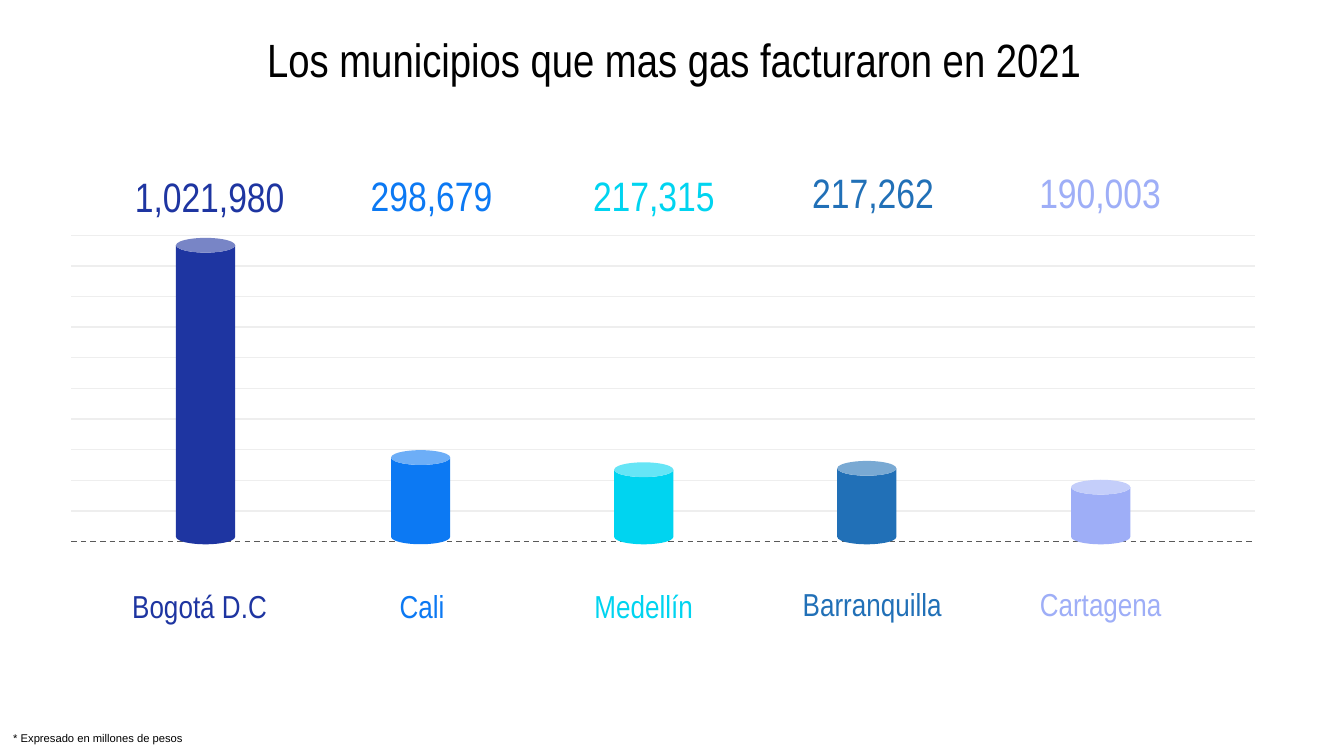
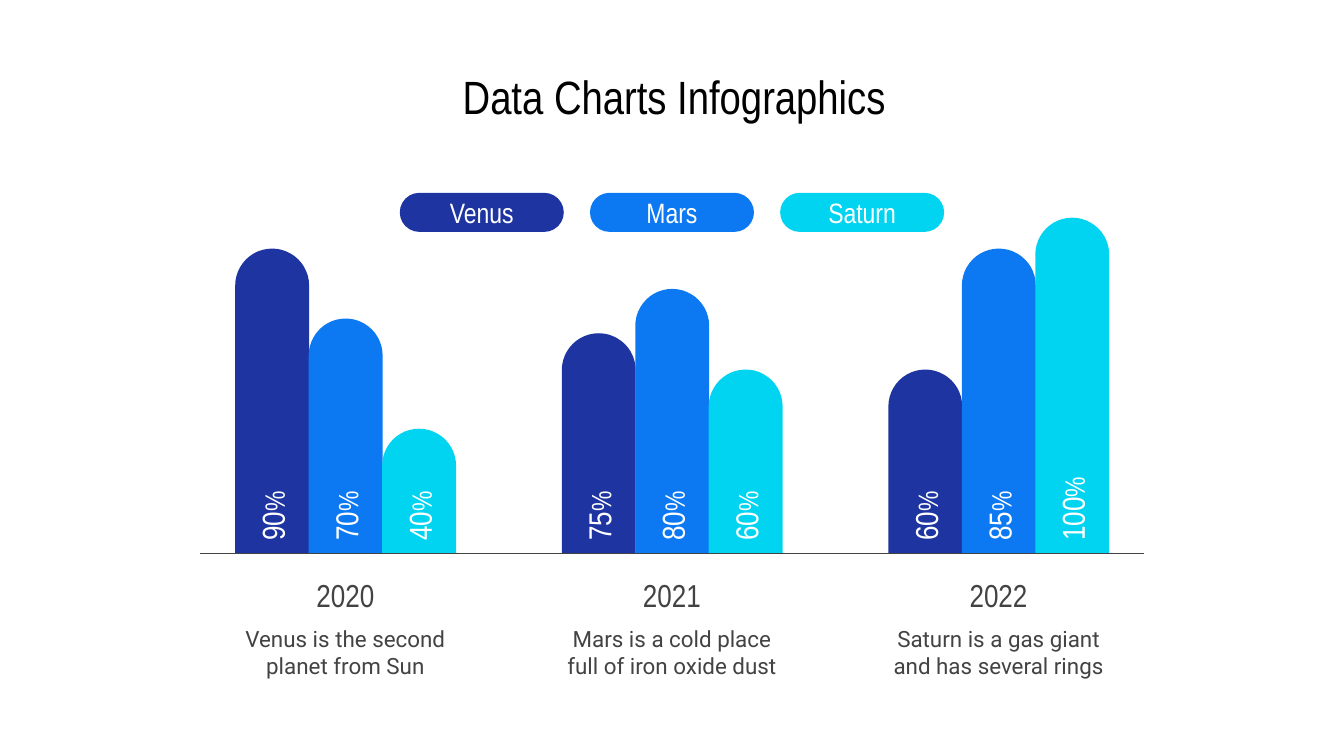
from dataclasses import dataclass

from lxml.etree import SubElement
from pptx import Presentation
from pptx.dml.color import RGBColor
from pptx.enum.dml import MSO_LINE_DASH_STYLE as Dash
from pptx.enum.shapes import MSO_CONNECTOR as Connector, MSO_SHAPE as Shape
from pptx.enum.text import MSO_ANCHOR as Anchor, MSO_AUTO_SIZE as AutoSize, PP_ALIGN as Align
from pptx.oxml.ns import qn
from pptx.util import Inches, Pt


@dataclass(frozen=True)
class Theme:
    black: str = "000000"
    white: str = "FFFFFF"
    navy: str = "1E35A1"
    blue: str = "0C79F3"
    cyan: str = "00D4F0"
    steel: str = "2170B7"
    lavender: str = "9EAEF7"
    text: str = "434343"
    grid: str = "EEEEEE"
    baseline: str = "595959"
    heading_font: str = "Arial Narrow"
    body_font: str = "Roboto"
    note_font: str = "Arial"
    title_size: int = 25
    value_size: int = 22
    label_size: int = 17
    legend_size: int = 15
    body_size: int = 12
    note_size: int = 6


theme = Theme()


def add_block(page, box, text="", size=theme.label_size, color=theme.white,
              font=theme.heading_font, align=Align.CENTER, kind=None, fill=None):
    lengths = [Inches(length) for length in box]
    if kind is None:
        block = page.shapes.add_textbox(*lengths)
    else:
        block = page.shapes.add_shape(kind, *lengths)
        block.shadow.inherit = False
        block.fill.solid()
        block.fill.fore_color.rgb = RGBColor.from_string(fill)
        block.line.fill.background()
    frame = block.text_frame
    frame.word_wrap = True
    frame.vertical_anchor = Anchor.MIDDLE
    frame.margin_left = frame.margin_right = Inches(0.1)
    frame.margin_top = frame.margin_bottom = Inches(0.1)
    if text:
        para = frame.paragraphs[0]
        para.text = text
        para.alignment = align
        para.runs[0].font.size = Pt(size)
        para.runs[0].font.name = font
        para.runs[0].font.color.rgb = RGBColor.from_string(color)
    return block


def add_rule(page, left, right, top, color):
    rule = page.shapes.add_connector(
        Connector.STRAIGHT, Inches(left), Inches(top), Inches(right), Inches(top))
    rule.line.color.rgb = RGBColor.from_string(color)
    rule.line.width = Pt(0.75)
    SubElement(rule._element.spPr, qn("a:effectLst"))
    return rule


deck = Presentation()
deck.slide_width = Inches(10)
deck.slide_height = Inches(10 * 9 / 16)

pages = []
for title_text, title_top in [
    ("Los municipios que mas gas facturaron en 2021", 0.17),
    ("Data Charts Infographics", 0.45),
]:
    page = deck.slides.add_slide(deck.slide_layouts[5])
    title = page.shapes.title
    title.left, title.top = Inches(0.53), Inches(title_top)
    title.width, title.height = Inches(8.97), Inches(0.53)
    frame = title.text_frame
    frame.text = title_text
    frame.auto_size = AutoSize.NONE
    frame.word_wrap = True
    frame.vertical_anchor = Anchor.MIDDLE
    frame.margin_left = frame.margin_right = Inches(0.1)
    frame.margin_top = frame.margin_bottom = Inches(0.1)
    para = frame.paragraphs[0]
    para.alignment = Align.CENTER
    font = para.runs[0].font
    font.name = theme.heading_font
    font.size = Pt(theme.title_size)
    font.color.rgb = RGBColor.from_string(theme.black)
    pages.append(page)
cities_page, planets_page = pages

grid_top, grid_bottom, grid_steps = 1.75, 4.03, 10
for step in range(grid_steps):
    top = grid_top + step * (grid_bottom - grid_top) / grid_steps
    add_rule(cities_page, 0.53, 9.34, top, theme.grid)
baseline = add_rule(cities_page, 0.53, 9.34, grid_bottom, theme.baseline)
baseline.line.dash_style = Dash.DASH

can_width, can_bottom = 0.44, 4.05
cities = [
    ("Bogotá D.C", "1,021,980", theme.navy, 1.31, 1.77, (0.76, 4.36, 1.45), (0.76, 1.29, 1.6)),
    ("Cali", "298,679", theme.blue, 2.91, 3.35, (2.45, 4.36, 1.38), (2.5, 1.28, 1.42)),
    ("Medellín", "217,315", theme.cyan, 4.57, 3.44, (4.1, 4.36, 1.38), (4.18, 1.28, 1.37)),
    ("Barranquilla", "217,262", theme.steel, 6.23, 3.43, (5.75, 4.35, 1.48), (5.79, 1.26, 1.41)),
    ("Cartagena", "190,003", theme.lavender, 7.97, 3.57, (7.5, 4.35, 1.38), (7.47, 1.26, 1.43)),
]
for city, value, color, left, top, name_box, value_box in cities:
    can = add_block(cities_page, (left, top, can_width, can_bottom - top),
                    kind=Shape.CAN, fill=color)
    can.adjustments[0] = 0.25
    add_block(cities_page, (*name_box, 0.29), city, color=color)
    add_block(cities_page, (*value_box, 0.34), value, theme.value_size, color)

note = add_block(cities_page, (0, 5.39, 1.48, 0.2), "* Expresado en millones de pesos",
                 theme.note_size, theme.black, theme.note_font, Align.LEFT)
note.text_frame.word_wrap = False
note.text_frame.auto_size = AutoSize.SHAPE_TO_FIT_TEXT
note.text_frame.vertical_anchor = Anchor.TOP
note.text_frame.margin_top = note.text_frame.margin_bottom = Inches(0.05)

planets = [("Venus", theme.navy), ("Mars", theme.blue), ("Saturn", theme.cyan)]
legend_left, legend_last = 2.98, 5.81
for index, (planet, color) in enumerate(planets):
    left = legend_left + index * (legend_last - legend_left) / (len(planets) - 1)
    pill = add_block(planets_page, (left, 1.44, 1.21, 0.28), planet,
                     theme.legend_size, kind=Shape.ROUNDED_RECTANGLE, fill=color)
    pill.adjustments[0] = 0.5
    pill.line.color.rgb = RGBColor.from_string(color)
    pill.line.width = Pt(0.75)

axis_top, bar_width, group_width = 4.12, 0.55, 1.64
label_width, label_height = 1.15, 0.27
years = [
    ("2020", "Venus is the second planet from Sun", [(90, 1.85), (70, 2.37), (40, 3.19)]),
    ("2021", "Mars is a cold place full of iron oxide dust", [(75, 2.48), (80, 2.15), (60, 2.75)]),
    ("2022", "Saturn is a gas giant and has several rings", [(60, 2.75), (85, 1.85), (100, 1.62)]),
]
for group, (year, description, bars) in enumerate(years):
    group_left = 1.75 + 2.43 * group
    for index, (percent, top) in enumerate(bars):
        left = group_left + index * group_width / len(bars)
        bar = add_block(planets_page, (left, top, bar_width, axis_top - top),
                        kind=Shape.ROUND_2_SAME_RECTANGLE, fill=planets[index][1])
        bar.adjustments[0] = 0.5
        bar.adjustments[1] = 0
        label_left = left + (bar_width - label_width) / 2
        label = add_block(planets_page, (label_left, 3.41, label_width, label_height),
                          str(percent), align=Align.LEFT)
        label.rotation = 270
        span = label.text_frame.paragraphs[0].add_run()
        span.text = "%"
        span.font.name = theme.heading_font
        span.font.size = Pt(theme.legend_size)
        span.font.color.rgb = RGBColor.from_string(theme.white)
    add_block(planets_page, (group_left, 4.27, group_width, 0.31), year, color=theme.text)
    add_block(planets_page, (group_left - 0.07, 4.64, 1.78, 0.42), description,
              theme.body_size, theme.text, theme.body_font)
add_rule(planets_page, 1.49, 8.51, axis_top, theme.text)

deck.save("out.pptx")
